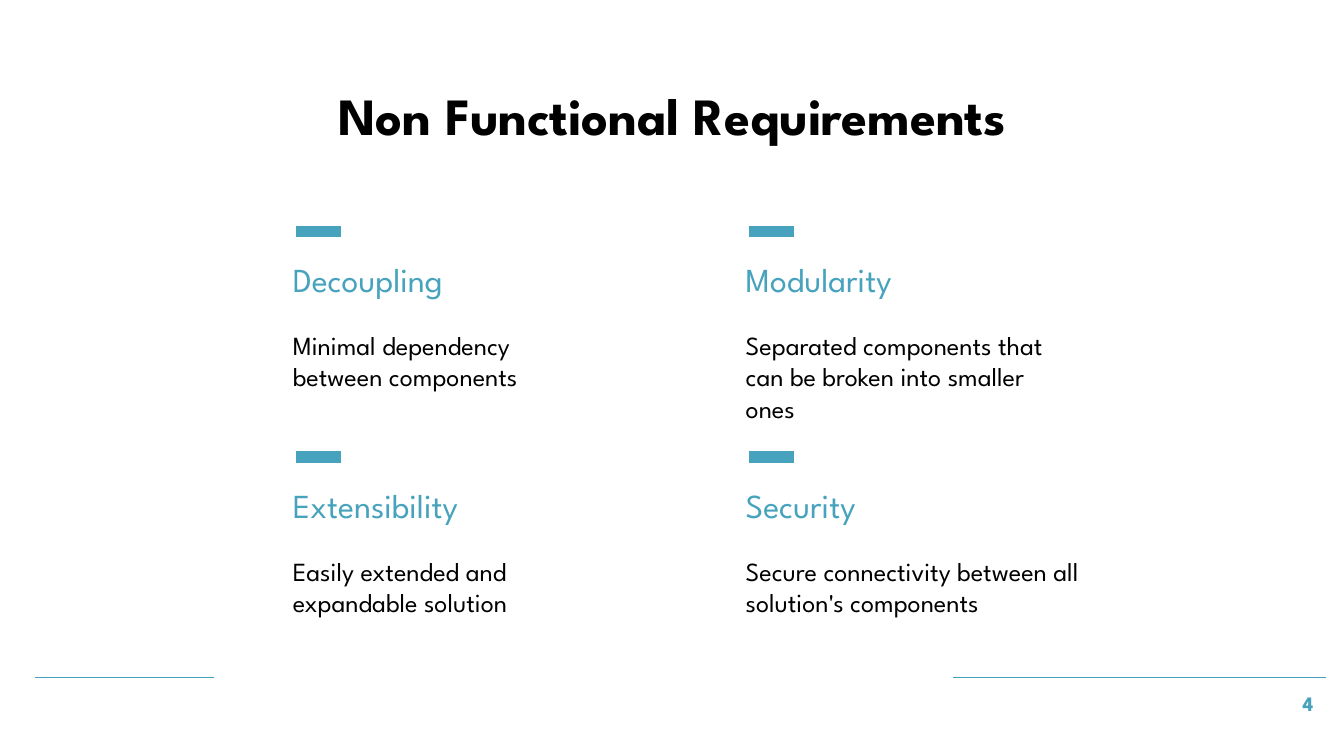
from lxml import etree
from pptx import Presentation
from pptx.dml.color import RGBColor
from pptx.enum.shapes import MSO_CONNECTOR
from pptx.enum.text import MSO_ANCHOR, PP_ALIGN
from pptx.oxml.ns import qn
from pptx.util import Inches, Pt

LINE = MSO_CONNECTOR.STRAIGHT
TOP = MSO_ANCHOR.TOP
LEFT, MID, RIGHT = PP_ALIGN.LEFT, PP_ALIGN.CENTER, PP_ALIGN.RIGHT

# Content: heading, text, text width; row by row
TITLE = "Non Functional Requirements"
PAGE = "4"
ITEMS = [
    ("Decoupling", "Minimal dependency between components", 2.48),
    ("Modularity", "Separated components that can be broken into smaller ones", 2.48),
    ("Extensibility", "Easily extended and expandable solution", 2.48),
    ("Security", "Secure connectivity between all solution's components", 2.86),
]
RULES = [(0.26, 1.59), (7.09, 9.87)]

THEME = {
    "font": "League Spartan",
    "ink": RGBColor(0x00, 0x00, 0x00),
    "teal": RGBColor(0x47, 0xA3, 0xBD),
    "title": 28, "head": 18, "body": 14, "page": 11,
    "thin": 0.75, "thick": 6,
}

# Grid
COLS, X, Y = 2, 2.08, 1.72
STEP_X, STEP_Y = 3.37, 1.68
FOOT = 5.04

# Widescreen slide, 16 to 9
deck = Presentation()
deck.slide_width = Inches(10)
deck.slide_height = Inches(10) * 9 // 16
slide = deck.slides.add_slide(deck.slide_layouts[6])


def write(text, x, y, w, h, size, color, align=LEFT, bold=False, top=0.1):
    box = slide.shapes.add_textbox(Inches(x), Inches(y), Inches(w), Inches(h))
    frame = box.text_frame
    frame.word_wrap = True
    frame.vertical_anchor = TOP
    frame.margin_left = frame.margin_right = frame.margin_bottom = Inches(0.1)
    frame.margin_top = Inches(top)
    frame.text = text
    para = frame.paragraphs[0]
    para.alignment = align
    font = para.runs[0].font
    font.name, font.size, font.bold = THEME["font"], Pt(THEME[size]), bold
    font.color.rgb = THEME[color]


def rule(x1, x2, y, width):
    line = slide.shapes.add_connector(
        LINE, Inches(x1), Inches(y), Inches(x2), Inches(y))
    line.line.color.rgb = THEME["teal"]
    line.line.width = Pt(THEME[width])
    etree.SubElement(line._element.spPr, qn("a:effectLst"))


# Footer
for x1, x2 in RULES:
    rule(x1, x2, FOOT, "thin")
write(PAGE, 9.23, FOOT + 0.01, 0.64, 0.43, "page", "teal", RIGHT, True)

# Title
write(TITLE, 1.61, 0.52, 6.78, 0.63, "title", "ink", MID, True)

# Requirements: bar, heading and text in each cell
for i, (head, body, wide) in enumerate(ITEMS):
    row, col = divmod(i, COLS)
    x, y = X + col * STEP_X, Y + row * STEP_Y
    rule(x + 0.12, x + 0.46, y, "thick")
    write(head, x, y + 0.11, 2.48, 0.43, "head", "teal")
    write(body, x, y + 0.73, wide, 0.43, "body", "ink", top=0)

deck.save("out.pptx")
